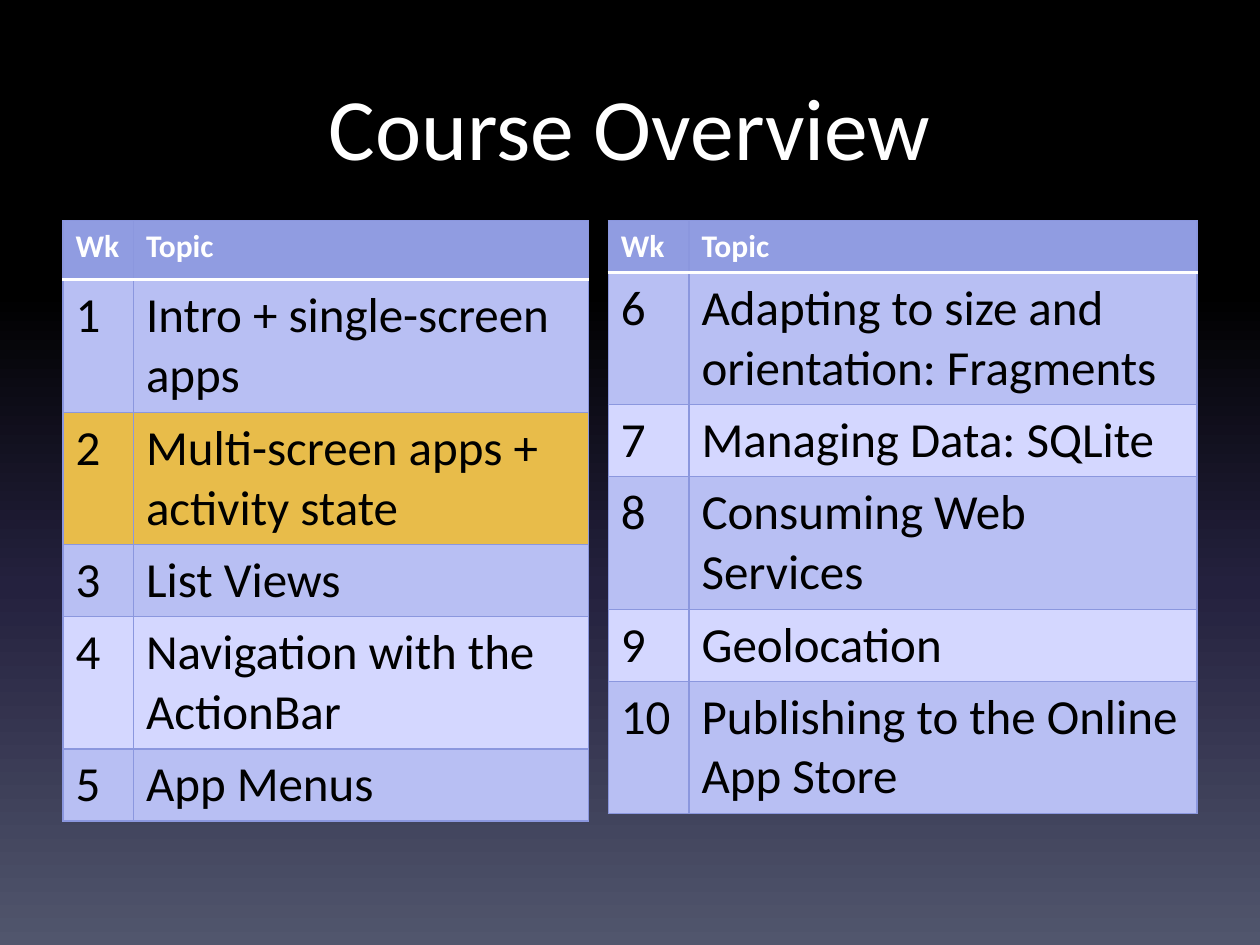
from lxml import etree
from pptx import Presentation
from pptx.dml.color import RGBColor
from pptx.enum.text import MSO_ANCHOR, PP_ALIGN
from pptx.oxml.ns import qn
from pptx.util import Cm, Pt

COLORS = {
    "white": "FFFFFF", "black": "000000", "night": "24213E", "slate": "51566D",
    "header": "909CE1", "band": "B8BFF3", "plain": "D4D7FF",
    "current": "E8BC4A", "border": "8B97DE",
}
BACKDROP = [(0, "black"), (31, "black"), (62, "night"), (100, "slate")]
HEADINGS = ("Wk", "Topic")
SCHEDULES = [
    {
        "left": 1.27, "widths": (1.42, 9.17),
        "heights": (1.19, 2.67, 2.67, 1.45, 2.67, 1.45),
        "current": 2,
        "rows": [
            ("1", "Intro + single-screen apps"),
            ("2", "Multi-screen apps + activity state"),
            ("3", "List Views"),
            ("4", "Navigation with the ActionBar"),
            ("5", "App Menus"),
        ],
    },
    {
        "left": 12.26, "widths": (1.63, 10.24),
        "heights": (1.04, 2.67, 1.45, 2.67, 1.45, 2.67),
        "current": None,
        "rows": [
            ("6", "Adapting to size and orientation: Fragments"),
            ("7", "Managing Data: SQLite"),
            ("8", "Consuming Web Services"),
            ("9", "Geolocation"),
            ("10", "Publishing to the Online App Store"),
        ],
    },
]


def write(frame, text, size, color="black", bold=False, align=PP_ALIGN.LEFT):
    para = frame.paragraphs[0]
    para.alignment = align
    span = para.add_run()
    span.text = text
    span.font.name = "Calibri"
    span.font.size = Pt(size)
    span.font.bold = bold
    span.font.color.rgb = RGBColor.from_string(COLORS[color])


def draw_borders(cell, borders):
    props = cell._tc.get_or_add_tcPr()
    for index, (side, (color, width)) in enumerate(borders.items()):
        line = etree.Element(qn(f"a:ln{side}"), w=str(Pt(width)))
        fill = etree.SubElement(line, qn("a:solidFill"))
        etree.SubElement(fill, qn("a:srgbClr"), val=COLORS[color])
        props.insert(index, line)


deck = Presentation()
deck.slide_width, deck.slide_height = Cm(25.4), Cm(19.05)
page = deck.slides.add_slide(deck.slide_layouts[6])

backdrop = page.background.fill
backdrop.gradient()
backdrop.gradient_angle = 270
stops = next(page.element.iter(qn("a:gsLst")))
for stop in list(stops):
    stops.remove(stop)
for position, color in BACKDROP:
    stop = etree.SubElement(stops, qn("a:gs"), pos=str(position * 1000))
    etree.SubElement(stop, qn("a:srgbClr"), val=COLORS[color])

title = page.shapes.add_textbox(Cm(1.27), Cm(1.27), Cm(22.86), Cm(3.18)).text_frame
title.word_wrap = True
title.vertical_anchor = MSO_ANCHOR.TOP
title.margin_top = Cm(0.2)
write(title, "Course Overview", 50, color="white", align=PP_ALIGN.CENTER)

for schedule in SCHEDULES:
    rows = [HEADINGS] + schedule["rows"]
    widths, heights = schedule["widths"], schedule["heights"]
    table = page.shapes.add_table(
        len(rows), len(widths), Cm(schedule["left"]), Cm(4.45),
        Cm(sum(widths)), Cm(sum(heights))).table
    for column, width in zip(table.columns, widths):
        column.width = Cm(width)
    for number, texts in enumerate(rows):
        table.rows[number].height = Cm(heights[number])
        is_header = number == 0
        if is_header:
            shade = "header"
        elif number == schedule["current"]:
            shade = "current"
        else:
            shade = "band" if number % 2 else "plain"
        borders = dict.fromkeys("LRTB", ("border", 0.75))
        if number < 2:
            borders["B" if is_header else "T"] = ("white", 2)
        for position, text in enumerate(texts):
            cell = table.cell(number, position)
            cell.fill.solid()
            cell.fill.fore_color.rgb = RGBColor.from_string(COLORS[shade])
            draw_borders(cell, borders)
            write(cell.text_frame, text, 18 if is_header else 28,
                  color="white" if is_header else "black", bold=is_header)

deck.save("out.pptx")
